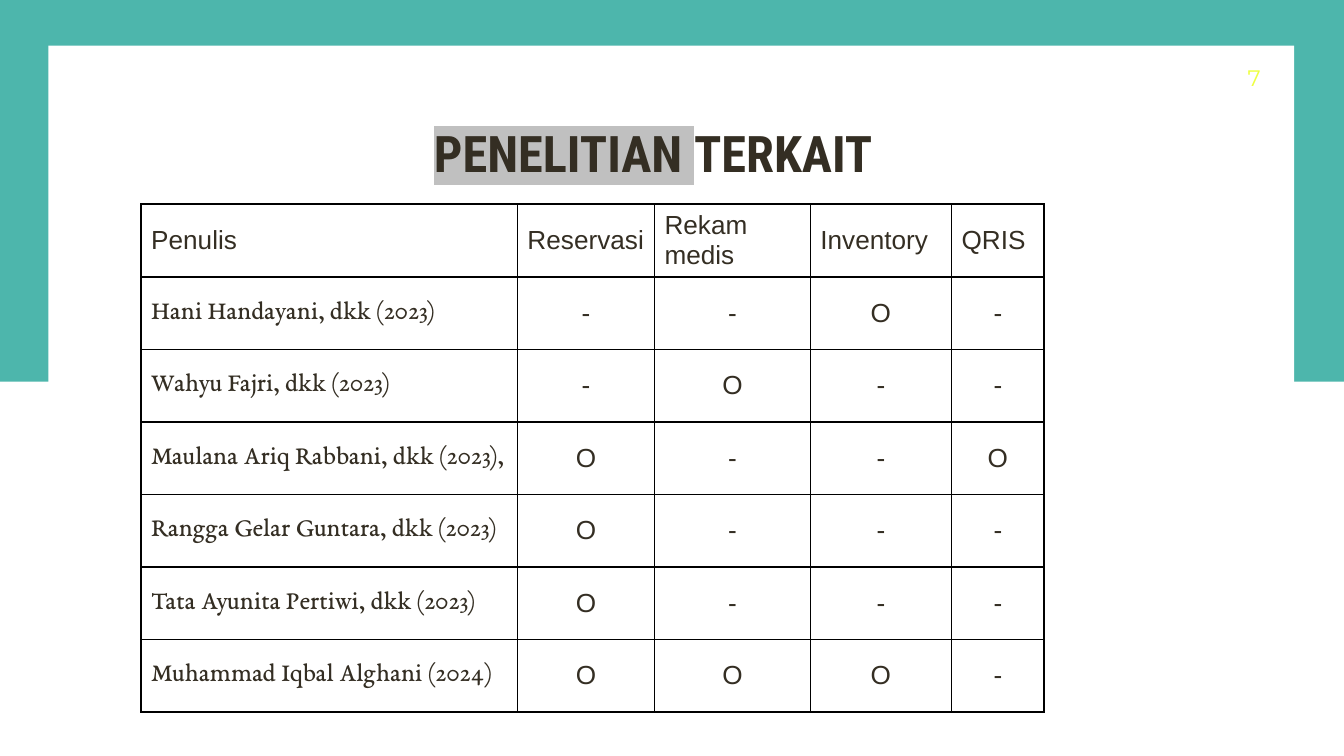
import pptx
import pptx.util
import pptx.dml.color
import pptx.enum.shapes
import pptx.enum.text
import pptx.oxml
import pptx.oxml.ns

Inches = pptx.util.Inches
Pt = pptx.util.Pt
RGBColor = pptx.dml.color.RGBColor
Align = pptx.enum.text.PP_ALIGN
Anchor = pptx.enum.text.MSO_ANCHOR

TEAL = RGBColor(0x4D, 0xB6, 0xAC)
WHITE = RGBColor(0xFF, 0xFF, 0xFF)
BROWN = RGBColor(0x34, 0x2E, 0x23)
YELLOW = RGBColor(0xEE, 0xFF, 0x41)
SILVER = RGBColor(0xC0, 0xC0, 0xC0)
BLACK = RGBColor(0, 0, 0)

COLUMN_WIDTHS = [2.8, 1.02, 1.16, 1.05, 0.69]
ROW_HEIGHT = 0.54
HEADERS = ["Penulis", "Reservasi", "Rekam medis", "Inventory", "QRIS"]
STUDIES = [
    ("Hani Handayani, dkk (2023)", "--O-"),
    ("Wahyu Fajri, dkk (2023)", "-O--"),
    ("Maulana Ariq Rabbani, dkk (2023),", "O--O"),
    ("Rangga Gelar Guntara, dkk (2023)", "O---"),
    ("Tata Ayunita Pertiwi, dkk (2023)", "O---"),
    ("Muhammad Iqbal Alghani (2024)", "OOO-"),
]


def format_run(run, font_name, size, color):
    run.font.name = font_name
    run.font.size = Pt(size)
    run.font.color.rgb = color


def drawing_element(tag, color, attributes=""):
    return pptx.oxml.parse_xml(
        f'<a:{tag} {pptx.oxml.ns.nsdecls("a")} {attributes}>{color}</a:{tag}>'
    )


presentation = pptx.Presentation()
presentation.slide_width = Inches(10)
presentation.slide_height = presentation.slide_width * 9 // 16
slide = presentation.slides.add_slide(presentation.slide_layouts[5])

for left, top, width, height, color in [
    (-0.02, 0, 10.02, 2.84, TEAL),
    (0.36, 0.34, 9.27, 4.94, WHITE),
]:
    panel = slide.shapes.add_shape(
        pptx.enum.shapes.MSO_SHAPE.RECTANGLE,
        Inches(left), Inches(top), Inches(width), Inches(height),
    )
    panel.shadow.inherit = False
    panel.fill.solid()
    panel.fill.fore_color.rgb = color
    panel.line.fill.background()

title = slide.shapes.title
slide.shapes._spTree.append(title._element)
title.left, title.top = Inches(0.55), Inches(0.53)
title.width, title.height = Inches(8.62), Inches(0.83)
title_frame = title.text_frame
title_frame.auto_size = pptx.enum.text.MSO_AUTO_SIZE.NONE
title_frame.vertical_anchor = Anchor.BOTTOM
title_frame.margin_left = title_frame.margin_right = Inches(0.07)
title_frame.margin_top = title_frame.margin_bottom = 0
title_paragraph = title_frame.paragraphs[0]
title_paragraph.alignment = Align.CENTER
for word in ["PENELITIAN ", "TERKAIT"]:
    run = title_paragraph.add_run()
    run.text = word
    run.font.bold = True
    format_run(run, "Roboto Condensed", 27, BROWN)
highlight = drawing_element("highlight", f'<a:srgbClr val="{SILVER}"/>')
first_run = title_paragraph.runs[0]
first_run.font._element.find(pptx.oxml.ns.qn("a:solidFill")).addnext(highlight)

rows = [HEADERS] + [[author, *marks] for author, marks in STUDIES]
table = slide.shapes.add_table(
    len(rows), len(HEADERS), Inches(1.05), Inches(1.52),
    Inches(sum(COLUMN_WIDTHS)), Inches(ROW_HEIGHT * len(rows)),
).table
table.first_row = False
table.horz_banding = False
for column, width in zip(table.columns, COLUMN_WIDTHS):
    column.width = Inches(width)

for row_index, values in enumerate(rows):
    table.rows[row_index].height = Inches(ROW_HEIGHT)
    for column_index, value in enumerate(values):
        cell = table.cell(row_index, column_index)
        cell.text_frame.text = value
        cell.vertical_anchor = Anchor.MIDDLE
        cell.margin_left = cell.margin_right = Pt(5.4)
        cell.margin_top = cell.margin_bottom = Pt(2.7)
        cell.fill.background()
        paragraph = cell.text_frame.paragraphs[0]
        is_author = row_index > 0 and column_index == 0
        is_mark = row_index > 0 and column_index > 0
        paragraph.alignment = Align.CENTER if is_mark else Align.LEFT
        font_name = "EB Garamond" if is_author else "Arial"
        format_run(paragraph.runs[0], font_name, 14, BROWN)
        properties = cell._tc.get_or_add_tcPr()
        for position, side in enumerate("LRTB"):
            border = drawing_element(
                f"ln{side}",
                f'<a:solidFill><a:srgbClr val="{BLACK}"/></a:solidFill>',
                f'w="{Pt(1)}"',
            )
            properties.insert(position, border)

number_box = slide.shapes.add_textbox(
    Inches(8.5), Inches(0.38), Inches(0.88), Inches(0.39)
)
number_frame = number_box.text_frame
number_frame.word_wrap = True
number_frame.vertical_anchor = Anchor.MIDDLE
number_frame.margin_left = Inches(0.07)
number_frame.margin_right = 0
number_frame.margin_top = number_frame.margin_bottom = Inches(0.04)
number_frame.text = "7"
number_frame.paragraphs[0].alignment = Align.RIGHT
format_run(number_frame.paragraphs[0].runs[0], "Montserrat", 12, YELLOW)

presentation.save("out.pptx")
